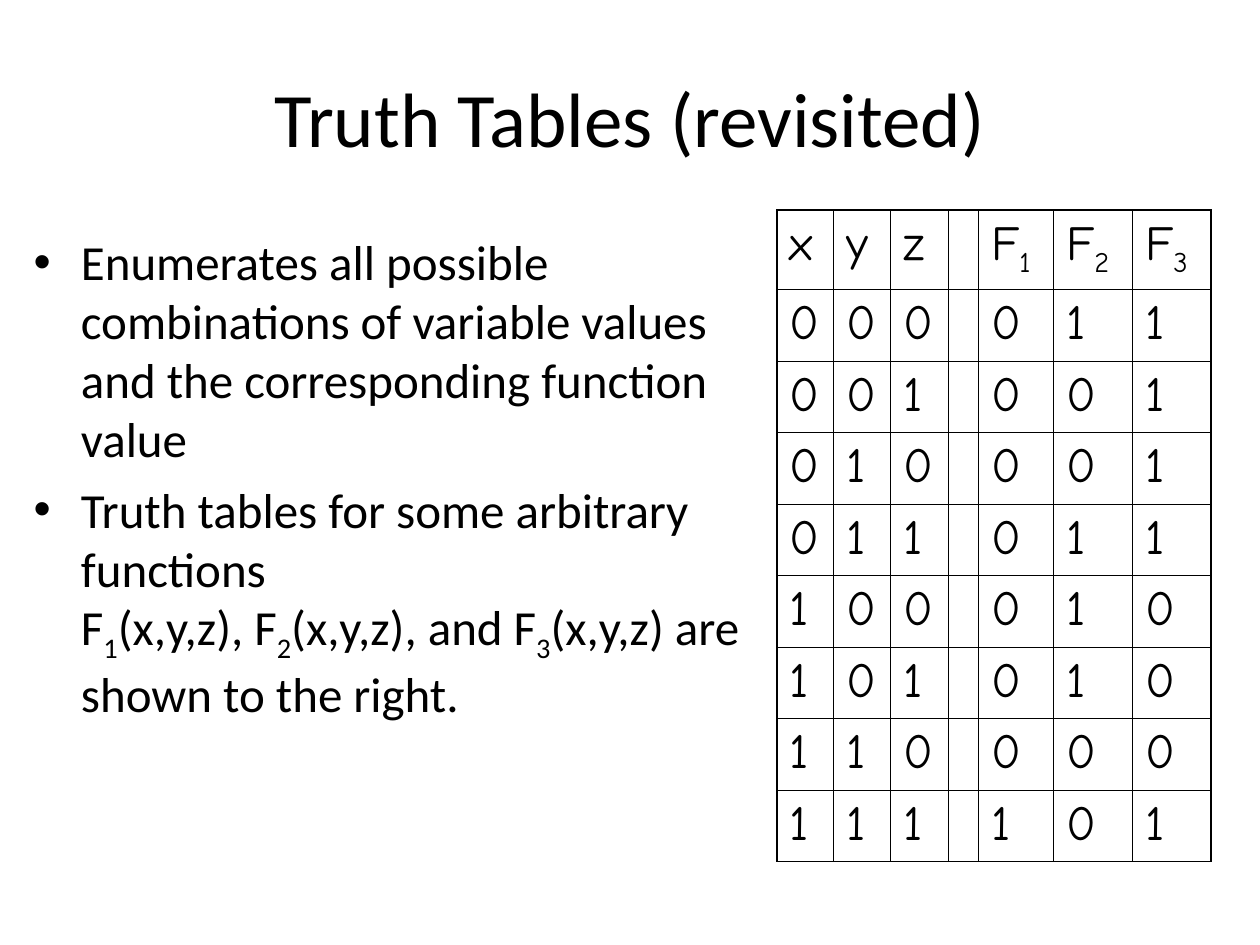
from dataclasses import dataclass

from lxml import etree
from pptx import Presentation
from pptx import util as u
from pptx.dml.color import RGBColor
from pptx.enum import text
from pptx.oxml import ns

BLACK = RGBColor(0x00, 0x00, 0x00)
BODY_FONT = "Calibri"
TABLE_FONT = "Comic Neue"
TEXT_SIZE = 28
OUTER_LINE, INNER_LINE = 1.08, 0.45

COLUMN_WIDTHS = [32.3, 32.6, 33.1, 17.1, 42.9, 45.1, 44.9]
HEADER_HEIGHT, ROW_HEIGHT = 45.4, 40.85
HEADER = ["x", "y", "z", "", "F_1", "F_2", "F_3"]
OUTPUTS = ["011", "001", "001", "011", "010", "010", "000", "101"]

BULLETS = [
    "Enumerates all possible combinations of variable values "
    "and the corresponding function value",
    "Truth tables for some arbitrary functions\n"
    "F_1_(x,y,z), F_2_(x,y,z), and F_3_(x,y,z) are shown to the right.",
]


@dataclass(frozen=True)
class Box:
    left: float
    top: float
    width: float
    height: float

    def lengths(self) -> list[u.Pt]:
        return [u.Pt(v) for v in (self.left, self.top, self.width, self.height)]


TITLE_BOX = Box(36, 21.6, 648, 90)
BODY_BOX = Box(12.2, 128.9, 432, 350.6)
TABLE_BOX = Box(444, 120, sum(COLUMN_WIDTHS), HEADER_HEIGHT + ROW_HEIGHT * len(OUTPUTS))


def write(p, marked: str, font: str, size: float) -> None:
    """Fill a paragraph; underscores enclose subscripts, newlines break lines."""
    for i, part in enumerate(marked.split("_")):
        for j, line in enumerate(part.split("\n")):
            if j:
                p.add_line_break()
            r = p.add_run()
            r.text = line
            r.font.name = font
            r.font.size = u.Pt(size)
            r.font.color.rgb = BLACK
            if i % 2:
                r.font._element.set("baseline", "-25000")


def add_text_frame(s, box: Box):
    tf = s.shapes.add_textbox(*box.lengths()).text_frame
    tf.word_wrap = True
    return tf


def add_title(s, title: str) -> None:
    tf = add_text_frame(s, TITLE_BOX)
    tf.vertical_anchor = text.MSO_ANCHOR.MIDDLE
    p = tf.paragraphs[0]
    p.alignment = text.PP_ALIGN.CENTER
    write(p, title, BODY_FONT, 44)


def add_bullets(s, items: list[str]) -> None:
    tf = add_text_frame(s, BODY_BOX)
    indent = u.Pt(27)
    for i, item in enumerate(items):
        p = tf.add_paragraph() if i else tf.paragraphs[0]
        if i:
            p.space_before = u.Pt(7)
        pPr = p._p.get_or_add_pPr()
        pPr.set("marL", str(indent))
        pPr.set("indent", str(-indent))
        etree.SubElement(pPr, ns.qn("a:buFont"), typeface="Arial")
        etree.SubElement(pPr, ns.qn("a:buChar"), char="•")
        write(p, item, BODY_FONT, TEXT_SIZE)


def set_border(cell, side: str, width: float) -> None:
    tcPr = cell._tc.get_or_add_tcPr()
    ln = etree.SubElement(tcPr, ns.qn(f"a:ln{side}"), w=str(u.Pt(width)))
    fill = etree.SubElement(ln, ns.qn("a:solidFill"))
    etree.SubElement(fill, ns.qn("a:srgbClr"), val=str(BLACK))


def add_truth_table(s) -> None:
    rows = [HEADER] + [
        [*f"{n:03b}", "", *outputs] for n, outputs in enumerate(OUTPUTS)
    ]
    last_row, last_col = len(rows) - 1, len(HEADER) - 1
    table = s.shapes.add_table(len(rows), len(HEADER), *TABLE_BOX.lengths()).table
    table.first_row = table.horz_banding = False
    for column, width in zip(table.columns, COLUMN_WIDTHS):
        column.width = u.Pt(width)
    for i, values in enumerate(rows):
        table.rows[i].height = u.Pt(ROW_HEIGHT if i else HEADER_HEIGHT)
        for j, value in enumerate(values):
            cell = table.cell(i, j)
            outer = {"L": j == 0, "R": j == last_col, "T": i == 0, "B": i == last_row}
            for side, is_outer in outer.items():
                set_border(cell, side, OUTER_LINE if is_outer else INNER_LINE)
            cell.fill.background()
            if value:
                write(cell.text_frame.paragraphs[0], value, TABLE_FONT, TEXT_SIZE)


def main() -> None:
    prs = Presentation()
    prs.slide_width, prs.slide_height = u.Pt(720), u.Pt(540)
    s = prs.slides.add_slide(prs.slide_layouts[6])
    add_title(s, "Truth Tables (revisited)")
    add_bullets(s, BULLETS)
    add_truth_table(s)
    prs.save("out.pptx")


if __name__ == "__main__":
    main()
